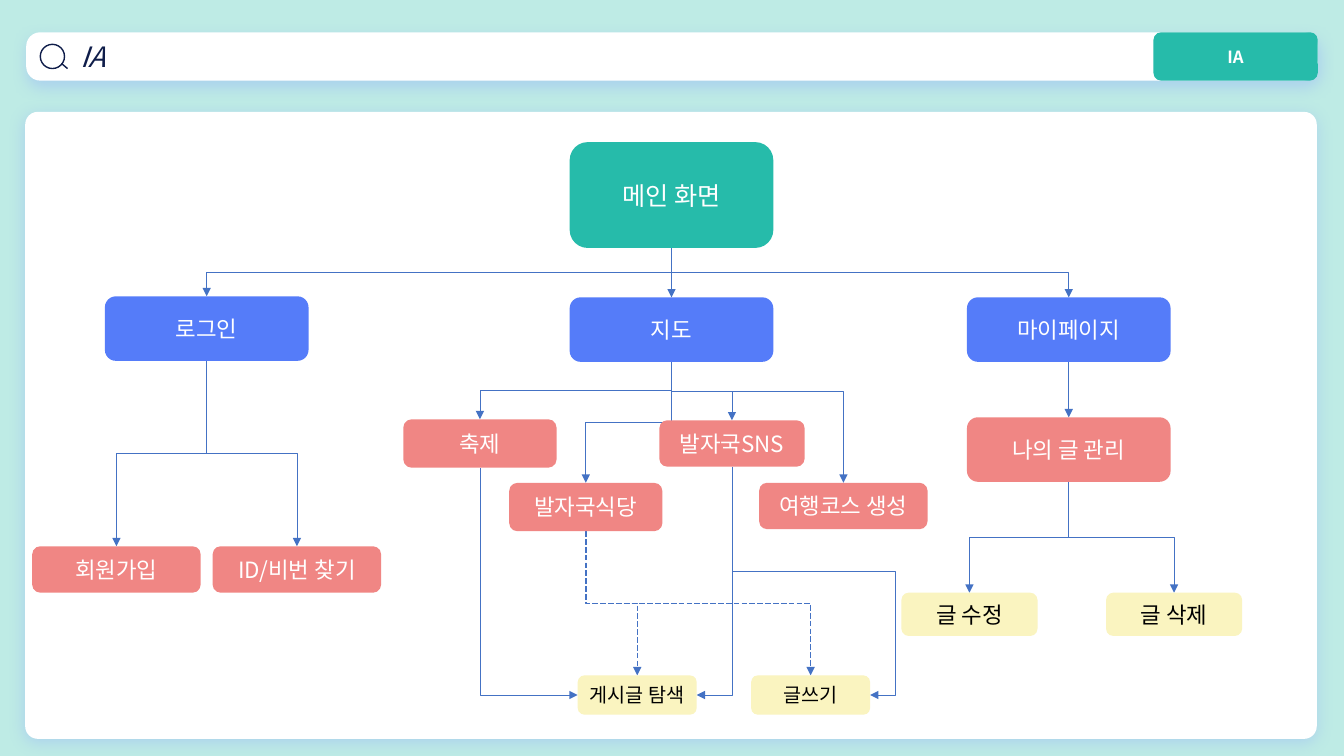
from lxml.etree import SubElement
from pptx import Presentation
from pptx.dml.color import RGBColor
from pptx.enum.dml import MSO_LINE
from pptx.enum.shapes import MSO_CONNECTOR, MSO_SHAPE
from pptx.enum.text import MSO_ANCHOR, PP_ALIGN
from pptx.oxml.ns import qn
from pptx.util import Inches, Pt

# Content
FONT = "Noto Sans CJK KR"
TEAL, BLUE, CORAL, YELLOW = "26BBAA", "557CF9", "F08684", "FAF4C0"
WHITE, BLACK, NAVY, LINE, SHADOW = "FFFFFF", "000000", "0F1D4A", "4472C4", "8FACFC"
TITLE = "IA"

# name: (text, left, top, width, height, fill, font size)
BOXES = {
    "main": ("메인 화면", 5.65, 1.41, 2.02, 1.05, TEAL, 18),
    "login": ("로그인", 1.04, 2.94, 2.02, 0.64, BLUE, 16),
    "map": ("지도", 5.65, 2.95, 2.02, 0.64, BLUE, 16),
    "mypage": ("마이페이지", 9.59, 2.95, 2.02, 0.64, BLUE, 16),
    "join": ("회원가입", 0.32, 5.42, 1.67, 0.46, CORAL, 16),
    "find": ("ID/비번 찾기", 2.11, 5.42, 1.67, 0.46, CORAL, 16),
    "festival": ("축제", 4.00, 4.16, 1.52, 0.48, CORAL, 16),
    "food": ("발자국식당", 5.05, 4.79, 1.52, 0.48, CORAL, 16),
    "sns": ("발자국SNS", 6.54, 4.17, 1.44, 0.46, CORAL, 16),
    "course": ("여행코스 생성", 7.53, 4.79, 1.67, 0.46, CORAL, 16),
    "manage": ("나의 글 관리", 9.59, 4.14, 2.02, 0.64, CORAL, 16),
    "edit": ("글 수정", 8.94, 5.88, 1.35, 0.43, YELLOW, 16),
    "delete": ("글 삭제", 10.97, 5.88, 1.35, 0.43, YELLOW, 16),
    "browse": ("게시글 탐색", 5.73, 6.70, 1.18, 0.39, YELLOW, 14),
    "write": ("글쓰기", 7.45, 6.70, 1.18, 0.39, YELLOW, 14),
}

# Every link leaves the bottom of its first box
TOP, LEFT, BOTTOM, RIGHT = range(4)
# from, to, side reached, preset, adjustments, dashed
BENT2, BENT3, BENT4 = "bentConnector2", "bentConnector3", "bentConnector4"
LINKS = [
    ("main", "login", TOP, BENT3, [0.5], False),
    ("main", "map", TOP, None, [], False),
    ("main", "mypage", TOP, BENT3, [0.5], False),
    ("login", "join", TOP, BENT3, [0.5], False),
    ("login", "find", TOP, BENT3, [0.5], False),
    ("map", "festival", TOP, BENT3, [0.5], False),
    ("map", "food", TOP, BENT3, [0.5], False),
    ("map", "sns", TOP, BENT3, [0.5], False),
    ("map", "course", TOP, BENT3, [0.24], False),
    ("mypage", "manage", TOP, None, [], False),
    ("manage", "edit", TOP, BENT3, [0.5], False),
    ("manage", "delete", TOP, BENT3, [0.5], False),
    ("food", "browse", TOP, BENT3, [0.5], True),
    ("food", "write", TOP, BENT3, [0.5], True),
    ("festival", "browse", LEFT, BENT2, [], False),
    ("sns", "browse", RIGHT, BENT2, [], False),
    ("sns", "write", RIGHT, BENT4, [0.46, 1.18], False),
]


def rgb(hex_color):
    return RGBColor.from_string(hex_color)


def add_box(s, left, top, width, height, fill, corner=0.17):
    sp = s.shapes.add_shape(MSO_SHAPE.ROUNDED_RECTANGLE, Inches(left), Inches(top),
                            Inches(width), Inches(height))
    sp.adjustments[0] = corner
    sp.shadow.inherit = False
    sp.fill.solid()
    sp.fill.fore_color.rgb = rgb(fill)
    sp.line.fill.background()
    return sp


def add_glow(sp):
    effects = sp._element.spPr.find(qn("a:effectLst"))
    shadow = SubElement(effects, qn("a:outerShdw"), blurRad=str(Pt(11)), dist=str(Pt(3)),
                        dir="5400000", algn="t", rotWithShape="0")
    color = SubElement(shadow, qn("a:srgbClr"), val=SHADOW)
    SubElement(color, qn("a:alpha"), val="40000")


def add_text(sp, text, size, color, align=PP_ALIGN.CENTER, bold=False, italic=False):
    tf = sp.text_frame
    tf.word_wrap = True
    tf.vertical_anchor = MSO_ANCHOR.MIDDLE
    p = tf.paragraphs[0]
    p.alignment = align
    r = p.add_run()
    r.text = text
    r.font.size = Pt(size)
    r.font.bold = bold
    r.font.italic = italic
    r.font.color.rgb = rgb(color)
    r.font.name = FONT
    SubElement(r.font._element, qn("a:ea"), typeface=FONT)
    return p


def add_line(shapes, kind, start, end, color, width):
    c = shapes.add_connector(kind, *start, *end)
    c.line.color.rgb = rgb(color)
    c.line.width = Pt(width)
    SubElement(c._element.spPr, qn("a:effectLst"))
    return c


def side_point(sp, side):
    x = sp.left + {LEFT: 0, RIGHT: sp.width}.get(side, sp.width // 2)
    y = sp.top + {TOP: 0, BOTTOM: sp.height}.get(side, sp.height // 2)
    return x, y


def bend_downward(c, start, end, preset, adjustments):
    """Turn an elbow so that it leaves its start vertically."""
    (x1, y1), (x2, y2) = start, end
    c.width, c.height = y2 - y1, abs(x2 - x1)
    c.left = (x1 + x2 - c.width) // 2
    c.top = (y1 + y2 - c.height) // 2
    xfrm = c._element.spPr.find(qn("a:xfrm"))
    for name in ("flipH", "flipV"):
        xfrm.attrib.pop(name, None)
    if x2 < x1:
        xfrm.set("rot", "5400000")
    else:
        xfrm.set("rot", "16200000")
        xfrm.set("flipH", "1")
    geom = c._element.spPr.find(qn("a:prstGeom"))
    geom.set("prst", preset)
    guides = geom.find(qn("a:avLst"))
    for i, value in enumerate(adjustments, 1):
        SubElement(guides, qn("a:gd"), name=f"adj{i}", fmla=f"val {round(value * 100000)}")


def add_link(s, source, target, side, preset, adjustments, dashed):
    start, end = side_point(source, BOTTOM), side_point(target, side)
    kind = MSO_CONNECTOR.ELBOW if preset else MSO_CONNECTOR.STRAIGHT
    c = add_line(s.shapes, kind, start, end, LINE, 0.5)
    c.begin_connect(source, BOTTOM)
    c.end_connect(target, side)
    if preset:
        bend_downward(c, start, end, preset, adjustments)
    if dashed:
        c.line.dash_style = MSO_LINE.LONG_DASH
    SubElement(c.line._get_or_add_ln(), qn("a:tailEnd"), type="triangle")


prs = Presentation()
prs.slide_width, prs.slide_height = Inches(13.33), Inches(7.5)
s = prs.slides.add_slide(prs.slide_layouts[6])
s.background.fill.solid()
s.background.fill.fore_color.rgb = rgb("BEEBE5")

# Search bar with title and tab
bar = add_box(s, 0.26, 0.32, 12.81, 0.48, WHITE, 0.29)
add_glow(bar)
p = add_text(bar, TITLE, 20, NAVY, PP_ALIGN.LEFT, italic=True)
p._p.get_or_add_pPr().set("marL", str(Inches(0.4)))

icon = s.shapes.add_group_shape()
lens = icon.shapes.add_shape(MSO_SHAPE.OVAL, Inches(0.4), Inches(0.44), Inches(0.24), Inches(0.24))
lens.shadow.inherit = False
lens.fill.background()
lens.line.color.rgb = rgb(NAVY)
lens.line.width = Pt(1)
add_line(icon.shapes, MSO_CONNECTOR.STRAIGHT, (Inches(0.61), Inches(0.63)),
         (Inches(0.67), Inches(0.68)), NAVY, 1)

tab = add_box(s, 11.44, 0.32, 1.63, 0.48, TEAL, 0.16)
add_text(tab, TITLE, 12, WHITE, bold=True)

# Panel
add_glow(add_box(s, 0.25, 1.11, 12.81, 6.22, WHITE, 0.02))

# Site map boxes
nodes = {}
for name, (text, left, top, width, height, fill, size) in BOXES.items():
    nodes[name] = add_box(s, left, top, width, height, fill)
    add_text(nodes[name], text, size, BLACK if fill == YELLOW else WHITE)

# Links, then boxes raised above them
for source, target, *style in LINKS:
    add_link(s, nodes[source], nodes[target], *style)
for sp in nodes.values():
    s.shapes._spTree.append(sp._element)

prs.save("out.pptx")
